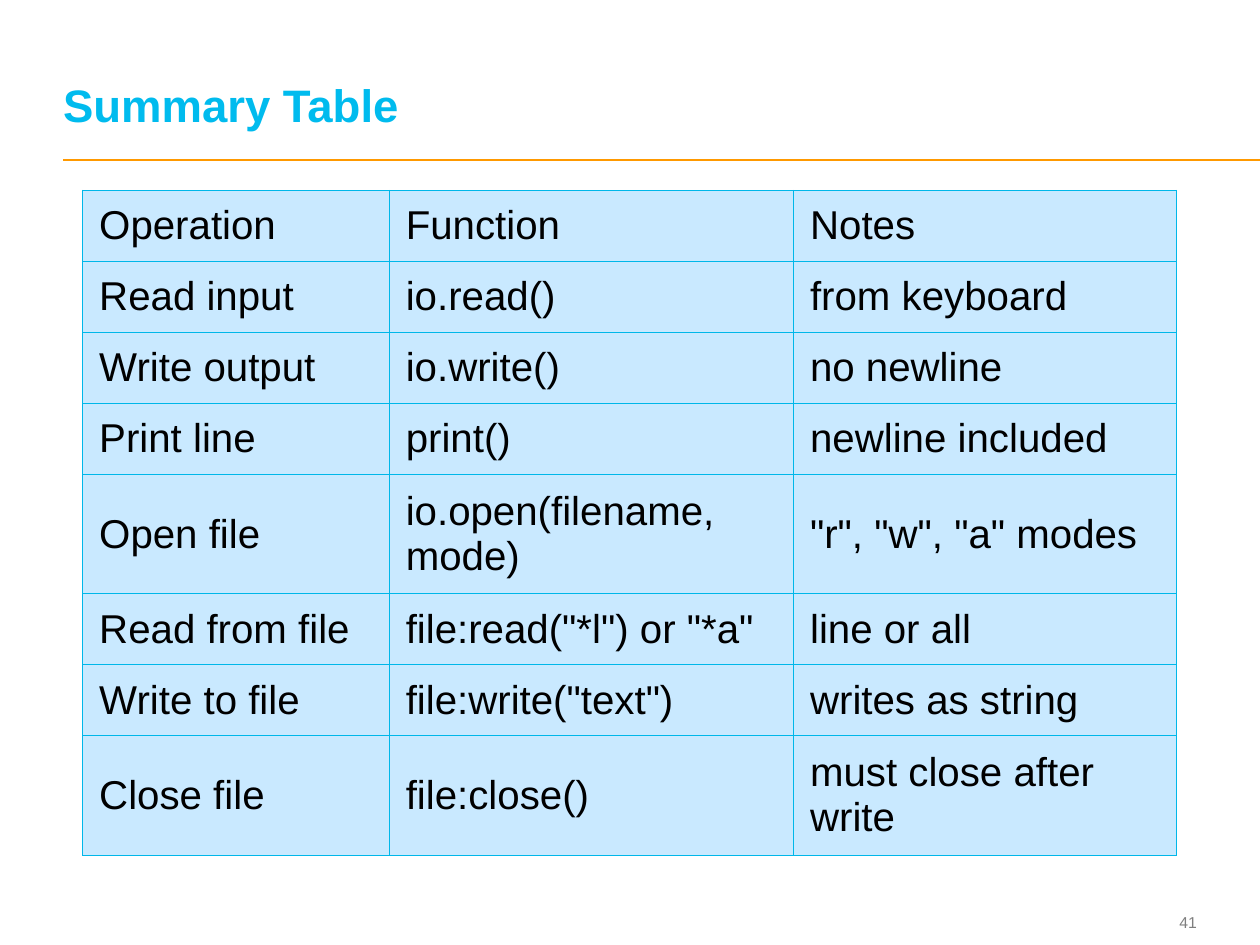
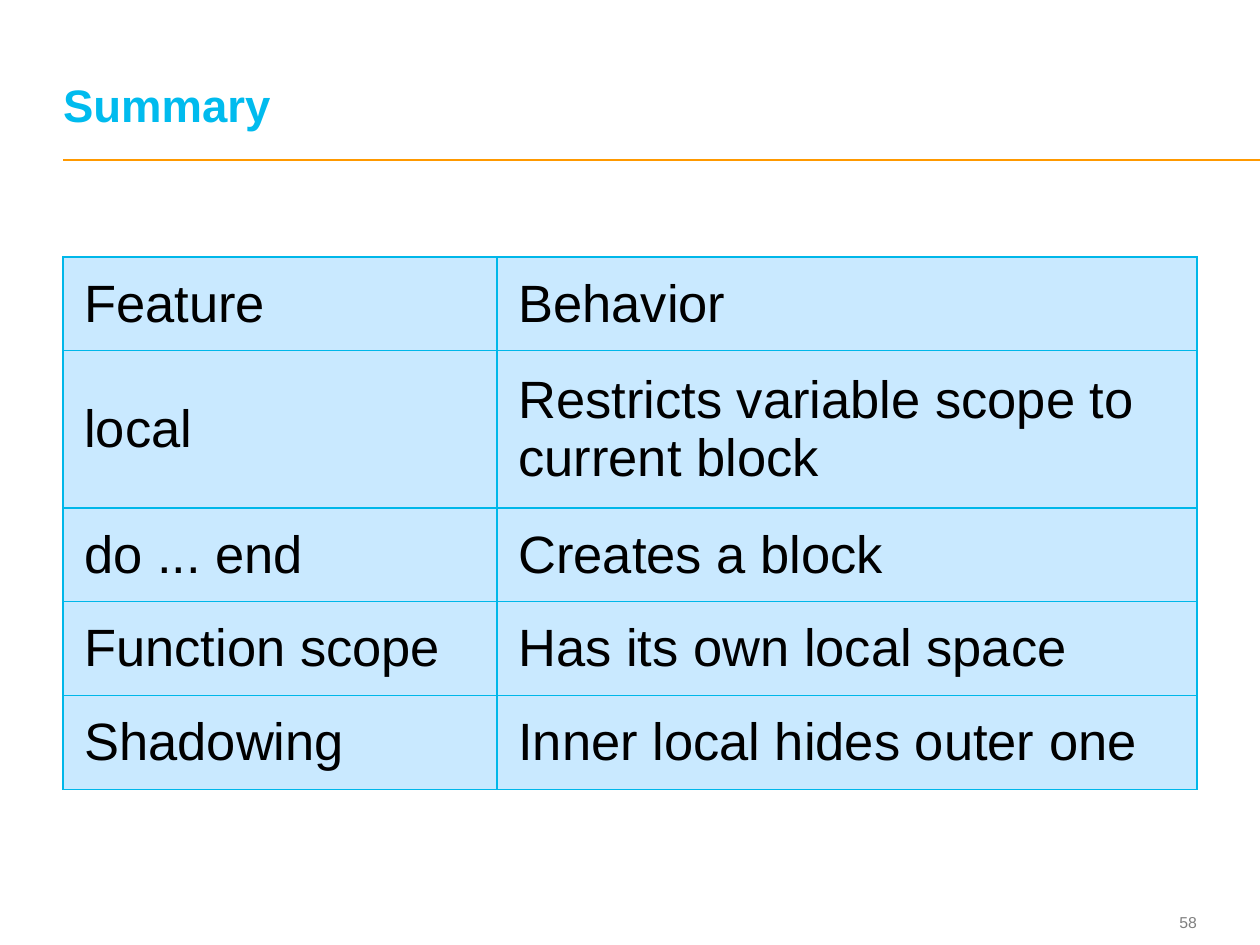
from lxml.etree import SubElement
from pptx import Presentation
from pptx.dml.color import RGBColor
from pptx.enum.shapes import MSO_CONNECTOR
from pptx.enum.text import MSO_ANCHOR, MSO_AUTO_SIZE, PP_ALIGN
from pptx.oxml.ns import qn
from pptx.util import Cm, Pt

FONT = "Arial"
TITLE_BLUE = "00BBEE"
BORDER_BLUE = "00B7E9"
CELL_BLUE = "C9E9FF"
RULE_ORANGE = "FF9900"
NUMBER_GREY = "7F7F7F"
BLACK = "000000"
SLIDE_WIDTH, SLIDE_HEIGHT = 25.4, 19.05
LEFT_EDGE = 1.27

SUMMARIES = [
    {
        "title": "Summary Table",
        "number": "41",
        "position": (1.67, 3.84),
        "columns": (6.18, 8.15, 7.72),
        "row_height": 1.43,
        "tall_height": 2.41,
        "tall_rows": (4, 7),
        "margins": (0.33, 0.15),
        "size": 23,
        "rows": [
            ("Operation", "Function", "Notes"),
            ("Read input", "io.read()", "from keyboard"),
            ("Write output", "io.write()", "no newline"),
            ("Print line", "print()", "newline included"),
            ("Open file", "io.open(filename, mode)", '"r", "w", "a" modes'),
            ("Read from file", 'file:read("*l") or "*a"', "line or all"),
            ("Write to file", 'file:write("text")', "writes as string"),
            ("Close file", "file:close()", "must close after write"),
        ],
    },
    {
        "title": "Summary",
        "number": "58",
        "position": (LEFT_EDGE, 5.18),
        "columns": (8.75, 14.11),
        "row_height": 1.89,
        "tall_height": 3.17,
        "tall_rows": (1,),
        "margins": (0.43, 0.2),
        "size": 30,
        "rows": [
            ("Feature", "Behavior"),
            ("local", "Restricts variable scope to current block"),
            ("do ... end", "Creates a block"),
            ("Function scope", "Has its own local space"),
            ("Shadowing", "Inner local hides outer one"),
        ],
    },
]


def colour(value):
    return RGBColor.from_string(value)


def write(frame, text, size, fill, bold=False, align=PP_ALIGN.LEFT, spacing=None):
    para = frame.paragraphs[0]
    para.alignment = align
    if spacing:
        para.line_spacing = Pt(spacing)
    span = para.add_run()
    span.text = text
    span.font.name = FONT
    span.font.size = Pt(size)
    span.font.bold = bold
    span.font.color.rgb = colour(fill)


def fit_frame(frame, anchor):
    frame.margin_left = frame.margin_right = frame.margin_top = frame.margin_bottom = 0
    frame.word_wrap = True
    frame.auto_size = MSO_AUTO_SIZE.NONE
    frame.vertical_anchor = anchor


def add_title(page, text):
    title = page.shapes.title
    title.left, title.top = Cm(LEFT_EDGE), Cm(0.48)
    title.width, title.height = Cm(22.78), Cm(2.18)
    fit_frame(title.text_frame, MSO_ANCHOR.BOTTOM)
    write(title.text_frame, text, size=26, fill=TITLE_BLUE, bold=True, spacing=26)


def add_rule(page):
    height = Cm(3.22)
    rule = page.shapes.add_connector(
        MSO_CONNECTOR.STRAIGHT, Cm(LEFT_EDGE), height, Cm(SLIDE_WIDTH), height
    )
    rule.line.color.rgb = colour(RULE_ORANGE)
    rule.line.width = Pt(1)
    SubElement(rule._element.spPr, qn("a:effectLst"))


def add_number(page, number):
    width = 1.5
    left = SLIDE_WIDTH - LEFT_EDGE - width
    box = page.shapes.add_textbox(Cm(left), Cm(18.24), Cm(width), Cm(0.69))
    fit_frame(box.text_frame, MSO_ANCHOR.MIDDLE)
    write(box.text_frame, number, size=9, fill=NUMBER_GREY, align=PP_ALIGN.RIGHT)


def add_borders(cell):
    properties = cell._tc.get_or_add_tcPr()
    for side in ("a:lnL", "a:lnR", "a:lnT", "a:lnB"):
        border = SubElement(properties, qn(side), w=str(Pt(0.75)))
        fill = SubElement(border, qn("a:solidFill"))
        SubElement(fill, qn("a:srgbClr"), val=BORDER_BLUE)


def format_cell(cell, text, size, margins):
    side, edge = margins
    cell.margin_left = cell.margin_right = Cm(side)
    cell.margin_top = cell.margin_bottom = Cm(edge)
    cell.vertical_anchor = MSO_ANCHOR.MIDDLE
    add_borders(cell)
    cell.fill.solid()
    cell.fill.fore_color.rgb = colour(CELL_BLUE)
    write(cell.text_frame, text, size=size, fill=BLACK)


def add_summary_table(page, summary):
    rows, widths = summary["rows"], summary["columns"]
    heights = [
        summary["tall_height"] if index in summary["tall_rows"] else summary["row_height"]
        for index in range(len(rows))
    ]
    left, top = summary["position"]
    table = page.shapes.add_table(
        len(rows), len(widths), Cm(left), Cm(top), Cm(sum(widths)), Cm(sum(heights))
    ).table
    table.first_row = table.horz_banding = False
    for column, width in zip(table.columns, widths):
        column.width = Cm(width)
    for row, height, texts in zip(table.rows, heights, rows):
        row.height = Cm(height)
        for cell, text in zip(row.cells, texts):
            format_cell(cell, text, summary["size"], summary["margins"])


def main():
    deck = Presentation()
    deck.slide_width, deck.slide_height = Cm(SLIDE_WIDTH), Cm(SLIDE_HEIGHT)
    title_only = deck.slide_layouts[5]
    for summary in SUMMARIES:
        page = deck.slides.add_slide(title_only)
        add_rule(page)
        add_number(page, summary["number"])
        add_title(page, summary["title"])
        add_summary_table(page, summary)
    deck.save("out.pptx")


if __name__ == "__main__":
    main()
